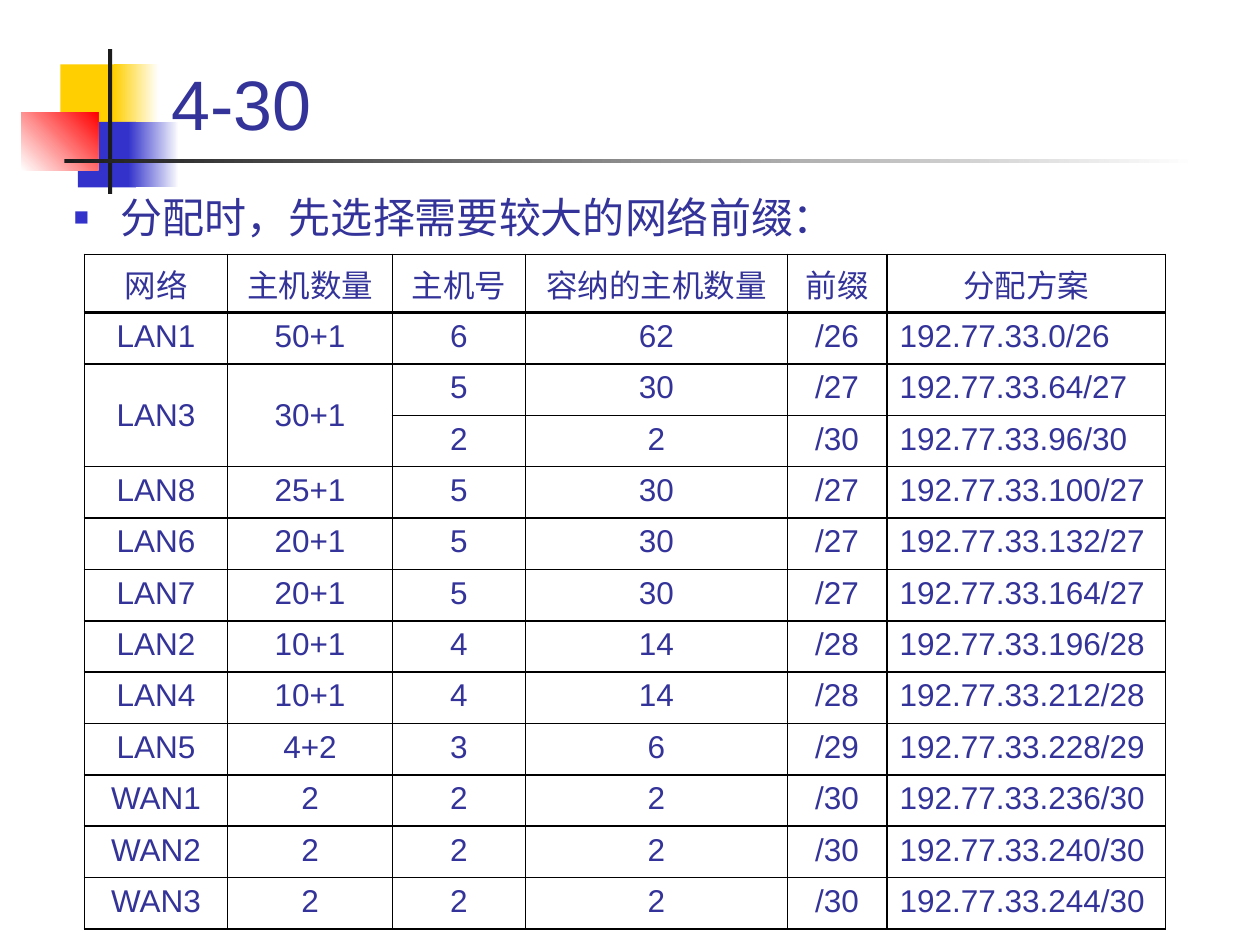
from dataclasses import dataclass

from pptx import Presentation
from pptx.dml.color import RGBColor
from pptx.enum.shapes import MSO_SHAPE
from pptx.enum.text import MSO_ANCHOR as Anchor, MSO_AUTO_SIZE as AutoSize, PP_ALIGN as Align
from pptx.oxml import parse_xml
from pptx.oxml.ns import nsdecls
from pptx.util import Cm, Pt


@dataclass(frozen=True)
class Theme:
    font: str = "Arial"
    text: str = "333399"
    yellow: str = "FFCF01"
    blue: str = "3333CC"
    red: str = "FF0000"
    dark: str = "1C1C1C"
    white: str = "FFFFFF"
    border: str = "000000"
    title_size: int = 40
    body_size: int = 24
    table_size: int = 18
    thin_line: int = 1
    header_line: int = 2


class SlideBuilder:
    """Holds the theme and the slide being filled."""

    def __init__(self, slide, theme):
        self.slide = slide
        self.theme = theme

    def add_text(self, paragraph, text, size, align=Align.LEFT):
        paragraph.alignment = align
        run = paragraph.add_run()
        run.text = text
        run.font.name = self.theme.font
        run.font.size = Pt(size)
        run.font.color.rgb = RGBColor.from_string(self.theme.text)

    def block(self, box, color, fade_to=None, angle=0):
        """Draw a borderless rectangle, solid or fading to a second colour."""
        shape = self.slide.shapes.add_shape(MSO_SHAPE.RECTANGLE, *map(Cm, box))
        shape.shadow.inherit = False
        shape.line.fill.background()
        if fade_to is None:
            shape.fill.solid()
            shape.fill.fore_color.rgb = RGBColor.from_string(color)
            return
        shape.fill.gradient()
        shape.fill.gradient_angle = angle
        for stop, stop_color in zip(shape.fill.gradient_stops, (color, fade_to)):
            stop.color.rgb = RGBColor.from_string(stop_color)

    def title(self, box, text):
        """Fill the title placeholder and bring it in front of the blocks."""
        shape = self.slide.shapes.title
        shape.left, shape.top, shape.width, shape.height = map(Cm, box)
        frame = shape.text_frame
        frame.auto_size = AutoSize.NONE
        frame.vertical_anchor = Anchor.BOTTOM
        self.add_text(frame.paragraphs[0], text, self.theme.title_size)
        self.slide.shapes._spTree.append(shape._element)

    def bullet(self, box, text, indent):
        frame = self.slide.shapes.add_textbox(*map(Cm, box)).text_frame
        frame.word_wrap = True
        paragraph = frame.paragraphs[0]
        properties = paragraph._p.get_or_add_pPr()
        properties.set("marL", str(Cm(indent)))
        properties.set("indent", str(-Cm(indent)))
        for element in (
            f'<a:buClr {nsdecls("a")}><a:srgbClr val="{self.theme.blue}"/></a:buClr>',
            f'<a:buSzPct {nsdecls("a")} val="60000"/>',
            f'<a:buFont {nsdecls("a")} typeface="{self.theme.font}"/>',
            f'<a:buChar {nsdecls("a")} char="■"/>',
        ):
            properties.append(parse_xml(element))
        self.add_text(paragraph, text, self.theme.body_size)

    def border(self, cell, **widths):
        """Set cell borders; widths in points, keyed L, R, T, B in that order."""
        properties = cell._tc.get_or_add_tcPr()
        for side, width in widths.items():
            properties.append(parse_xml(
                f'<a:ln{side} {nsdecls("a")} w="{Pt(width)}"><a:solidFill>'
                f'<a:srgbClr val="{self.theme.border}"/></a:solidFill></a:ln{side}>'))

    def table(self, left, top, height, column_widths, rows):
        """Draw the rows; None continues the cell above it."""
        theme = self.theme
        table = self.slide.shapes.add_table(
            len(rows), len(column_widths), Cm(left), Cm(top),
            Cm(sum(column_widths)), Cm(height)).table
        table.first_row = table.horz_banding = False
        for column, width in zip(table.columns, column_widths):
            column.width = Cm(width)
        last_column = len(column_widths) - 1
        for row_index, row in enumerate(rows):
            for column_index, text in enumerate(row):
                cell = table.cell(row_index, column_index)
                self.border(
                    cell, L=theme.thin_line, R=theme.thin_line,
                    T=theme.header_line if row_index == 1 else theme.thin_line,
                    B=theme.header_line if row_index == 0 else theme.thin_line)
                cell.fill.background()
                if text is None:
                    above = table.cell(row_index - 1, column_index)
                    above.merge(cell)
                    above.vertical_anchor = Anchor.MIDDLE
                    continue
                is_address = row_index > 0 and column_index == last_column
                self.add_text(cell.text_frame.paragraphs[0], text, theme.table_size,
                              Align.LEFT if is_address else Align.CENTER)


ALLOCATION = [
    ("网络", "主机数量", "主机号", "容纳的主机数量", "前缀", "分配方案"),
    ("LAN1", "50+1", "6", "62", "/26", "192.77.33.0/26"),
    ("LAN3", "30+1", "5", "30", "/27", "192.77.33.64/27"),
    (None, None, "2", "2", "/30", "192.77.33.96/30"),
    ("LAN8", "25+1", "5", "30", "/27", "192.77.33.100/27"),
    ("LAN6", "20+1", "5", "30", "/27", "192.77.33.132/27"),
    ("LAN7", "20+1", "5", "30", "/27", "192.77.33.164/27"),
    ("LAN2", "10+1", "4", "14", "/28", "192.77.33.196/28"),
    ("LAN4", "10+1", "4", "14", "/28", "192.77.33.212/28"),
    ("LAN5", "4+2", "3", "6", "/29", "192.77.33.228/29"),
    ("WAN1", "2", "2", "2", "/30", "192.77.33.236/30"),
    ("WAN2", "2", "2", "2", "/30", "192.77.33.240/30"),
    ("WAN3", "2", "2", "2", "/30", "192.77.33.244/30"),
]


def main():
    presentation = Presentation()
    presentation.slide_width, presentation.slide_height = Cm(25.4), Cm(19.05)
    title_only = presentation.slide_layouts[5]
    theme = Theme()
    builder = SlideBuilder(presentation.slides.add_slide(title_only), theme)

    builder.block((1.22, 1.3, 1.22, 1.32), theme.yellow)
    builder.block((2.29, 1.3, 0.91, 1.32), theme.yellow, theme.white)
    builder.block((1.57, 2.46, 1.17, 1.32), theme.blue)
    builder.block((2.59, 2.46, 1.02, 1.32), theme.blue, theme.white)
    builder.block((0.43, 2.26, 1.55, 1.17), theme.white, theme.red, angle=45)
    builder.block((2.18, 0.99, 0.08, 2.92), theme.dark)
    builder.block((1.3, 3.2, 22.86, 0.08), theme.dark, theme.white)

    builder.title((3.2, 0.43, 21.64, 2.62), "4-30")
    builder.table(1.7, 5.13, 13.46, (2.89, 3.32, 2.68, 5.28, 2.01, 5.62), ALLOCATION)
    builder.bullet((1.24, 3.73, 22.91, 1.4), "分配时，先选择需要较大的网络前缀：", indent=0.95)

    presentation.save("out.pptx")


if __name__ == "__main__":
    main()
